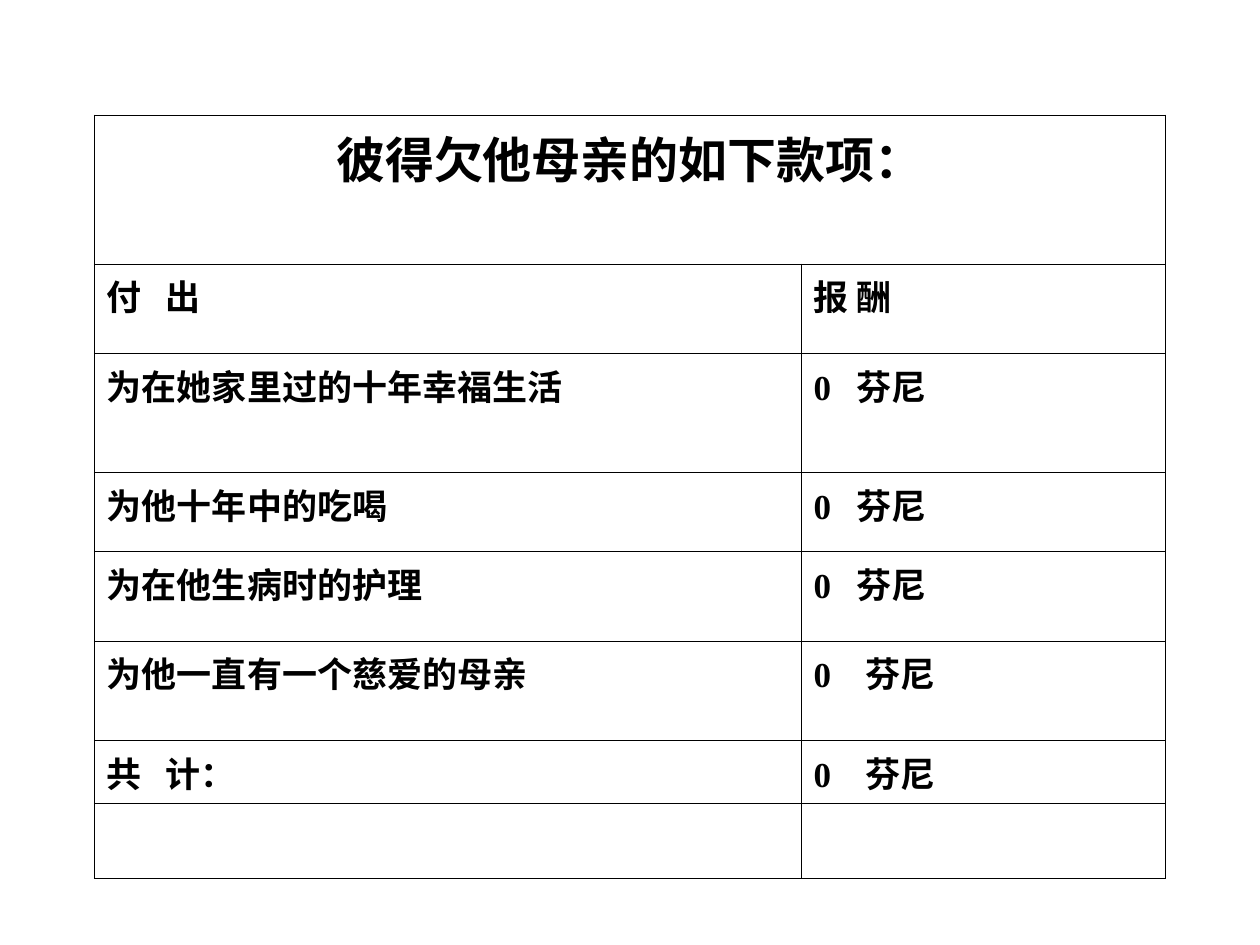
from lxml import etree
from pptx import Presentation
from pptx.dml.color import RGBColor
from pptx.enum.text import PP_ALIGN
from pptx.oxml.ns import qn
from pptx.util import Cm, Pt

BLACK = RGBColor(0, 0, 0)
LEFT, CENTER = PP_ALIGN.LEFT, PP_ALIGN.CENTER
COLUMN_WIDTHS = (14.25, 7.34)
ROW_HEIGHTS = (3, 1.8, 2.4, 1.6, 1.8, 2, 1.27, 1.5)
EFFORT_TAB, NEAR_TAB, FAR_TAB = 1.19, 0.87, 1.04
HEADING = "彼得欠他母亲的如下款项："
ENTRIES = (
    ("付\t出", "报 酬", NEAR_TAB),
    ("为在她家里过的十年幸福生活", "0\t芬尼", NEAR_TAB),
    ("为他十年中的吃喝", "0\t芬尼", NEAR_TAB),
    ("为在他生病时的护理", "0\t芬尼", NEAR_TAB),
    ("为他一直有一个慈爱的母亲", "0\t芬尼", FAR_TAB),
    ("共\t计：", "0\t芬尼", FAR_TAB),
)


def write_text(cell, text, size=20, align=LEFT, tab=None):
    paragraph = cell.text_frame.paragraphs[0]
    paragraph.alignment = align
    if "\t" in text:
        properties = paragraph._p.get_or_add_pPr()
        stops = etree.SubElement(properties, qn("a:tabLst"))
        etree.SubElement(stops, qn("a:tab"), pos=str(Cm(tab)), algn="l")
    run = paragraph.add_run()
    run.text = text
    run.font.name = "Times New Roman"
    run.font.size = Pt(size)
    run.font.bold = True
    run.font.color.rgb = BLACK


class BillSlide:
    border_width = Pt(0.45)
    border_color = BLACK

    def __init__(self, slide):
        self.slide = slide

    def outline(self, cell):
        properties = cell._tc.get_or_add_tcPr()
        for side in ("lnL", "lnR", "lnT", "lnB"):
            border = etree.SubElement(
                properties, qn(f"a:{side}"), w=str(self.border_width)
            )
            fill = etree.SubElement(border, qn("a:solidFill"))
            etree.SubElement(fill, qn("a:srgbClr"), val=str(self.border_color))
        cell.fill.background()

    def table(self, left, top, widths, heights):
        frame = self.slide.shapes.add_table(
            len(heights), len(widths),
            Cm(left), Cm(top), Cm(sum(widths)), Cm(sum(heights)),
        )
        table = frame.table
        table.first_row = False
        table.horz_banding = False
        for column, width in zip(table.columns, widths):
            column.width = Cm(width)
        for row, height in zip(table.rows, heights):
            row.height = Cm(height)
        for cell in table.iter_cells():
            self.outline(cell)
        return table


def main():
    presentation = Presentation()
    presentation.slide_width = Cm(25.4)
    presentation.slide_height = Cm(19.05)
    slide = presentation.slides.add_slide(presentation.slide_layouts[6])

    bill = BillSlide(slide).table(1.9, 2.32, COLUMN_WIDTHS, ROW_HEIGHTS)
    bill.cell(0, 0).merge(bill.cell(0, 1))
    write_text(bill.cell(0, 0), HEADING, size=28, align=CENTER)
    for row, (effort, reward, reward_tab) in enumerate(ENTRIES, start=1):
        write_text(bill.cell(row, 0), effort, tab=EFFORT_TAB)
        write_text(bill.cell(row, 1), reward, tab=reward_tab)

    presentation.save("out.pptx")


if __name__ == "__main__":
    main()
